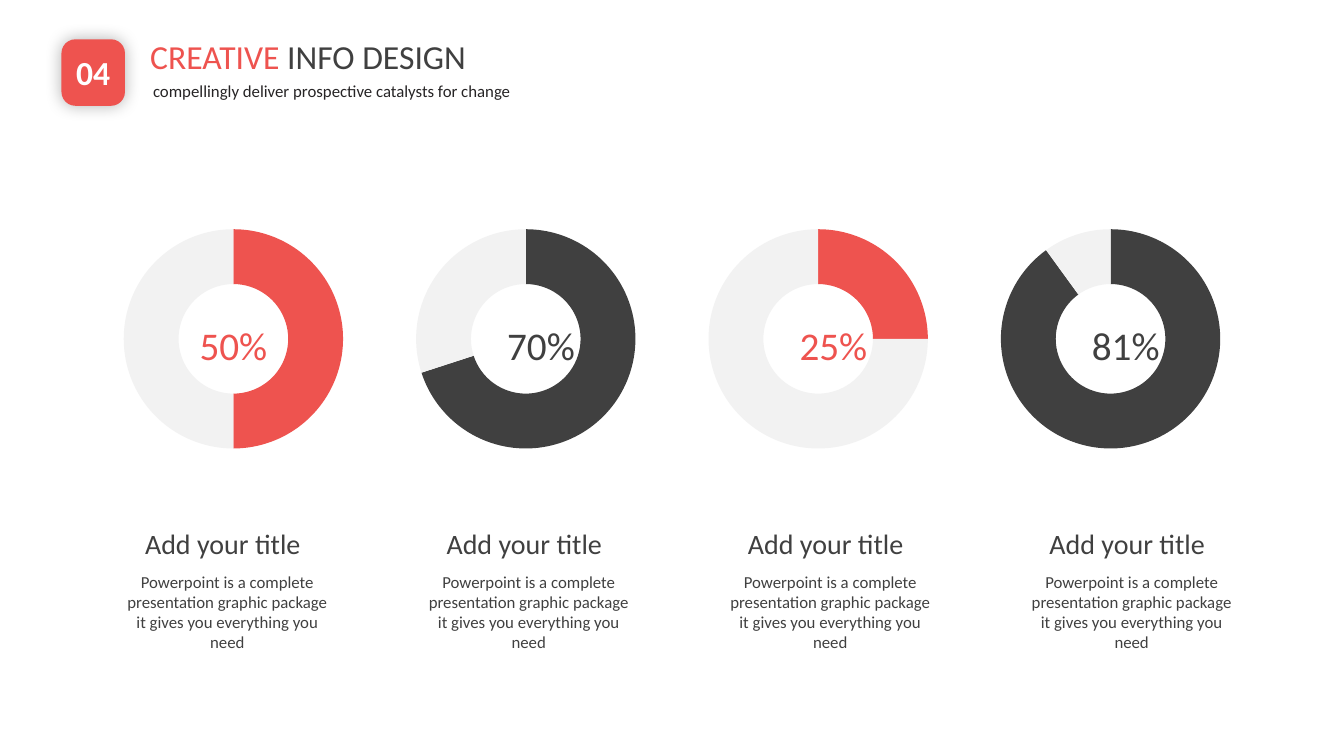
"""Build a slide of four doughnut charts with captions."""
from lxml import etree
from pptx import Presentation
from pptx.chart.data import CategoryChartData
from pptx.dml.color import RGBColor
from pptx.enum.chart import XL_CHART_TYPE
from pptx.enum.shapes import MSO_SHAPE
from pptx.enum.text import MSO_ANCHOR, MSO_AUTO_SIZE, PP_ALIGN
from pptx.oxml import parse_xml
from pptx.oxml.ns import nsdecls, qn
from pptx.util import Inches, Pt

RING = XL_CHART_TYPE.DOUGHNUT
ROUND = MSO_SHAPE.ROUNDED_RECTANGLE
LEFT, CENTER, JUSTIFY = PP_ALIGN.LEFT, PP_ALIGN.CENTER, PP_ALIGN.JUSTIFY
TOP, MIDDLE = MSO_ANCHOR.TOP, MSO_ANCHOR.MIDDLE
GROW, FIXED = MSO_AUTO_SIZE.SHAPE_TO_FIT_TEXT, MSO_AUTO_SIZE.NONE

RED, DARK, PALE, INK, WHITE = "EE534F", "404040", "F2F2F2", "262425", "FFFFFF"
BODY = ("Powerpoint is a complete presentation graphic package "
        "it gives you everything you need")
RINGS = [
    ("50%", 50, RED, 0.75),
    ("70%", 70, DARK, 0.9),
    ("25%", 25, RED, 0.9),
    ("81%", 90, DARK, 0.9),
]


def color(code):
    """Turn a hex string into a colour."""
    return RGBColor.from_string(code)


def place(box):
    """Turn a box in inches into lengths."""
    return [Inches(side) for side in box]


class Deck:
    """Hold the font and the current slide."""

    def __init__(self, slide, font):
        """Keep the slide and the font name."""
        self.slide = slide
        self.font = font

    def fill(self, shape, runs, size, align=CENTER, anchor=TOP, fit=FIXED,
             wrap=True, bold=False):
        """Fill a shape with one paragraph of coloured runs."""
        frame = shape.text_frame
        frame.word_wrap = wrap
        frame.auto_size = fit
        frame.vertical_anchor = anchor
        para = frame.paragraphs[0]
        para.alignment = align
        for text, code in runs:
            run = para.add_run()
            run.text = text
            run.font.name = self.font
            run.font.size = Pt(size)
            run.font.bold = bold
            run.font.color.rgb = color(code)
        return para

    def title(self, box, runs, size):
        """Move and fill the title placeholder."""
        shape = self.slide.shapes.title
        shape.left, shape.top, shape.width, shape.height = place(box)
        self.fill(shape, runs, size, LEFT, MIDDLE)

    def text(self, box, text, size, code, **style):
        """Add a text box and return its paragraph."""
        shape = self.slide.shapes.add_textbox(*place(box))
        return self.fill(shape, [(text, code)], size, **style)

    def label(self, box, text, size, code):
        """Add an unwrapped label with wide margins."""
        shape = self.slide.shapes.add_textbox(*place(box))
        frame = shape.text_frame
        frame.margin_left = frame.margin_right = Inches(0.2)
        frame.margin_top = frame.margin_bottom = Inches(0.1)
        self.fill(shape, [(text, code)], size, fit=GROW, wrap=False)

    def badge(self, box, text, size, code):
        """Add a rounded badge with a soft shadow."""
        shape = self.slide.shapes.add_shape(ROUND, *place(box))
        shape.adjustments[0] = 0.22
        shape.fill.solid()
        shape.fill.fore_color.rgb = color(code)
        shape.line.fill.background()
        shape.shadow.inherit = False
        glow = parse_xml(
            f'<a:outerShdw {nsdecls("a")} blurRad="{Pt(12)}" dist="0" dir="0" '
            'algn="ctr" rotWithShape="0"><a:srgbClr val="000000">'
            '<a:alpha val="30000"/></a:srgbClr></a:outerShdw>')
        shape.element.spPr.find(qn("a:effectLst")).append(glow)
        self.fill(shape, [(text, WHITE)], size, anchor=MIDDLE, bold=True)

    def ring(self, box, share, code):
        """Add a doughnut chart showing one share."""
        data = CategoryChartData()
        data.categories = ["1", "2"]
        data.add_series("Series 1", [share, 100 - share])
        chart = self.slide.shapes.add_chart(RING, *place(box), data).chart
        chart.has_legend = chart.has_title = False
        chart.font.name = self.font
        chart.font.size = Pt(10)
        chart.font.color.rgb = color("CCFFFF")
        plot = chart.plots[0]
        plot.vary_by_categories = True
        for spot, tint in enumerate([code, PALE]):
            point = plot.series[0].points[spot].format
            point.fill.solid()
            point.fill.fore_color.rgb = color(tint)
            point.line.fill.background()
        area = chart.element.find(".//" + qn("c:plotArea"))
        area.find(".//" + qn("c:holeSize")).set("val", "84")
        for old in area.findall(qn("c:layout")):
            area.remove(old)
        layout = etree.Element(qn("c:layout"))
        manual = etree.SubElement(layout, qn("c:manualLayout"))
        rules = [("layoutTarget", "inner"), ("xMode", "edge"),
                 ("yMode", "edge"), ("x", "0.08"), ("y", "0.06"),
                 ("w", "0.84"), ("h", "0.89")]
        for name, value in rules:
            etree.SubElement(manual, qn("c:" + name)).set("val", value)
        area.insert(0, layout)


def main():
    """Build and save the slide."""
    show = Presentation()
    show.slide_width, show.slide_height = Inches(13.33), Inches(7.5)
    deck = Deck(show.slides.add_slide(show.slide_layouts[5]), "Calibri")

    deck.badge((0.61, 0.39, 0.63, 0.66), "04", 24, RED)
    deck.title((1.39, 0.21, 3.6, 0.7),
               [("CREATIVE", RED), (" INFO DESIGN", DARK)], 24)
    deck.text((1.42, 0.75, 4, 0.3),
              "compellingly deliver prospective catalysts for change",
              12, INK, align=JUSTIFY, fit=GROW)

    for spot, (text, share, code, shift) in enumerate(RINGS):
        left = 1.02 + 2.9 * spot
        deck.ring((left, 2.12, 2.59, 2.46), share, code)
        deck.label((left + shift, 3.09, 1.09, 0.67), text, 28, code)
        left = 1.14 + 2.99 * spot
        deck.text((left, 5.62, 2.23, 0.91), BODY, 12, DARK, fit=GROW)
        head = deck.text((left + 0.01, 5.21, 2.12, 0.64),
                         "Add your title", 20, DARK)
        head.line_spacing = 0.9
        head.space_before = Pt(10)

    show.save("out.pptx")


if __name__ == "__main__":
    main()
